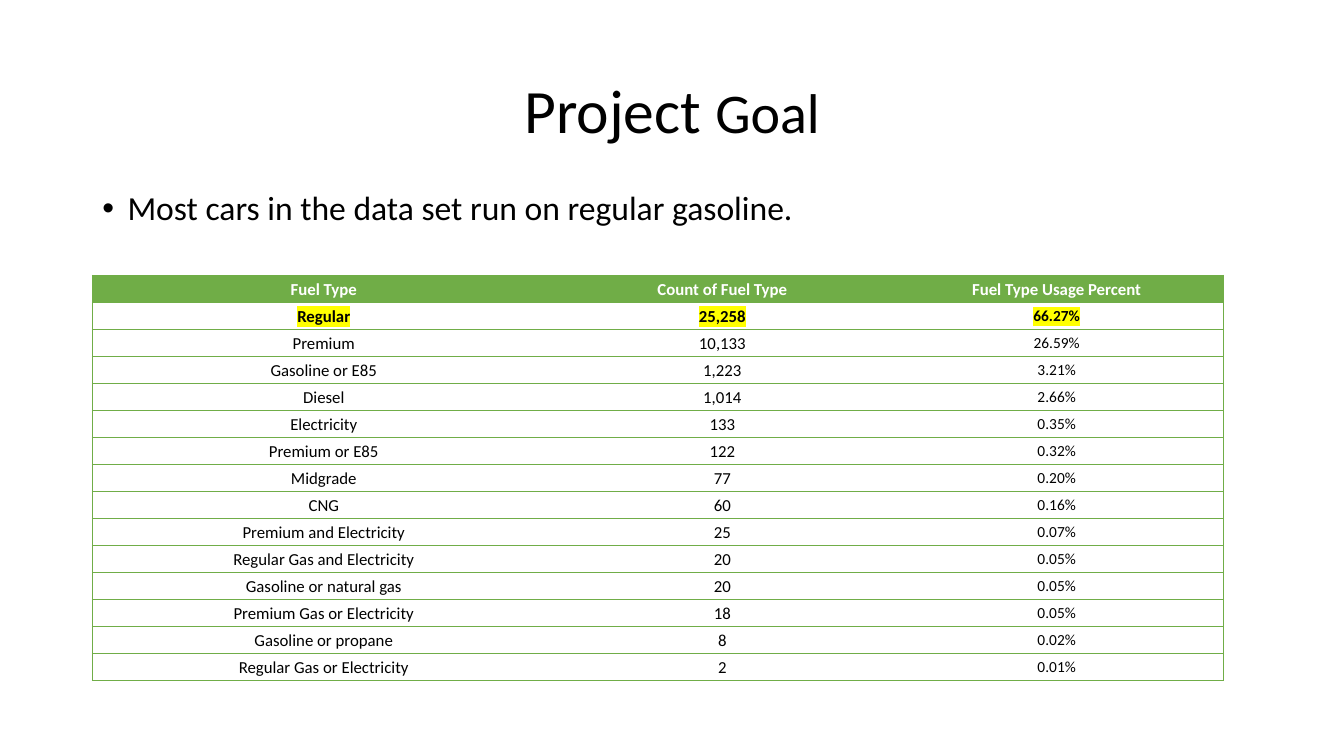
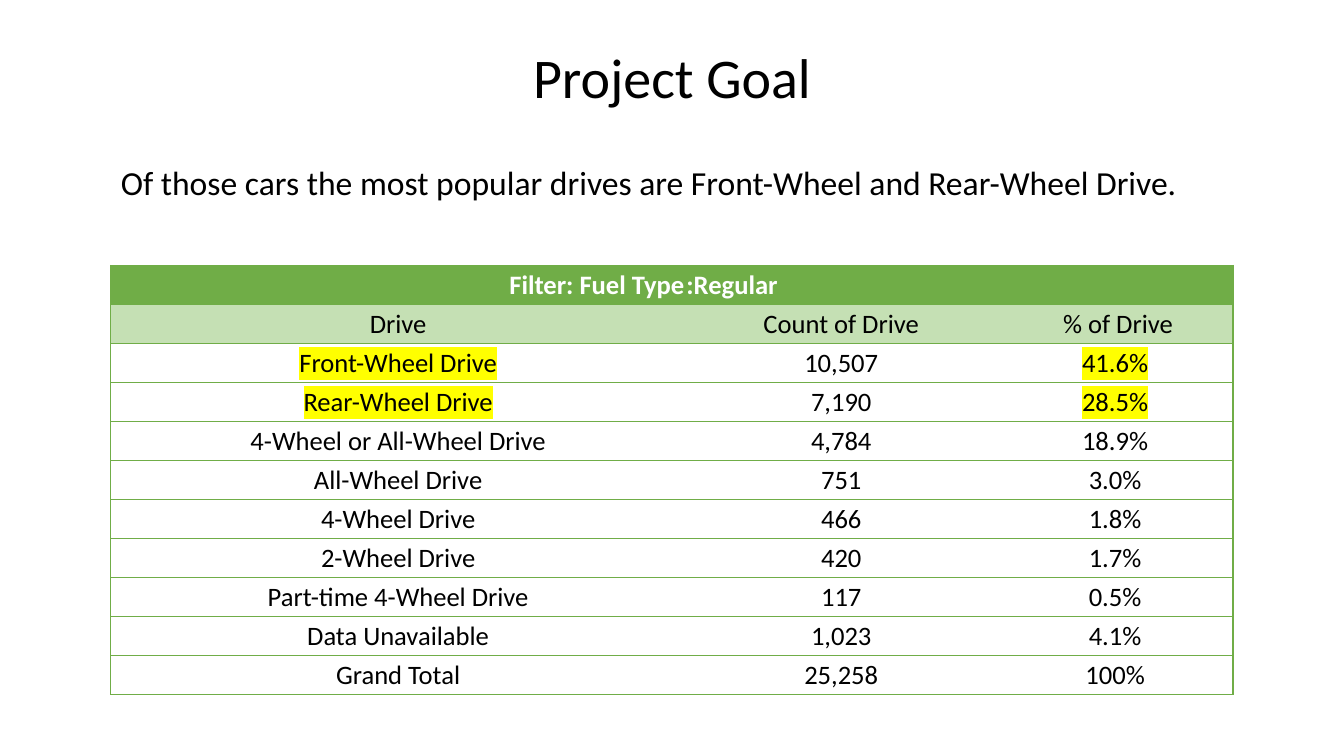
from dataclasses import dataclass
from typing import Any

from lxml import etree
from pptx import Presentation
from pptx.dml.color import RGBColor
from pptx.enum.text import MSO_ANCHOR, PP_ALIGN
from pptx.oxml.ns import qn
from pptx.util import Inches, Pt

LEFT, CENTER, RIGHT = PP_ALIGN.LEFT, PP_ALIGN.CENTER, PP_ALIGN.RIGHT
TOP, MIDDLE = MSO_ANCHOR.TOP, MSO_ANCHOR.MIDDLE
SLIDE_WIDTH, SLIDE_HEIGHT = Inches(13.33), Inches(7.5)
GRID_COLUMNS, GRID_ROWS = 160, 90
PLAIN_TABLE_STYLE = "{2D5ABB26-0587-4C30-8999-92F81FD0307C}"


@dataclass(frozen=True)
class Theme:
    """Colours, font and type sizes shared by the slides."""

    font: str = "Calibri"
    ink: str = "000000"
    paper: str = "FFFFFF"
    green: str = "70AD47"
    pale_green: str = "C5E0B4"
    marker: str = "FFFF00"
    title: int = 40
    title_large: int = 44
    body: int = 24
    drive_cell: int = 19
    fuel_cell: int = 12
    percent_cell: int = 11
    border: float = 1
    line_spacing: float = 0.9


THEME = Theme()


@dataclass(frozen=True)
class Area:
    """A rectangle in grid columns and rows."""

    left: float
    top: float
    width: float
    height: float

    def lengths(self) -> tuple[int, int, int, int]:
        """Return left, top, width and height in slide units."""
        return (across(self.left), down(self.top), across(self.width), down(self.height))


@dataclass(frozen=True)
class Span:
    """A stretch of text in one format."""

    text: str
    size: int
    color: str = THEME.ink
    bold: bool = False
    marked: bool = False


@dataclass(frozen=True)
class TableRow:
    """The texts of a table row and their format."""

    texts: tuple[str, str, str]
    sizes: tuple[int, int, int]
    fill: str = THEME.paper
    color: str = THEME.ink
    bold: bool = False
    marked: tuple[int, ...] = ()
    aligns: tuple[PP_ALIGN, ...] = (CENTER, CENTER, CENTER)


@dataclass(frozen=True)
class TablePage:
    """A slide with a title, a statement and a table."""

    title: tuple[Span, ...]
    title_area: Area
    statement: str
    statement_area: Area
    bulleted: bool
    table_area: Area
    columns: tuple[float, ...]
    rows: tuple[TableRow, ...]


def across(columns: float) -> int:
    """Convert grid columns to a length."""
    return round(SLIDE_WIDTH * columns / GRID_COLUMNS)


def down(rows: float) -> int:
    """Convert grid rows to a length."""
    return round(SLIDE_HEIGHT * rows / GRID_ROWS)


def apply_format(target: Any, values: dict[str, Any]) -> None:
    """Set every named attribute of the target."""
    for name, value in values.items():
        setattr(target, name, value)


def add_color(parent: Any, tag: str, color: str) -> Any:
    """Append an element that holds a colour."""
    holder = etree.SubElement(parent, qn(tag))
    etree.SubElement(holder, qn("a:srgbClr"), val=color)
    return holder


def add_span(para: Any, span: Span) -> None:
    """Add a formatted run to a paragraph."""
    run = para.add_run()
    run.text = span.text
    apply_format(run.font, {"name": THEME.font, "size": Pt(span.size), "bold": span.bold})
    run.font.color.rgb = RGBColor.from_string(span.color)
    if span.marked:
        properties = run.font._element
        highlight = add_color(properties, "a:highlight", THEME.marker)
        properties.find(qn("a:latin")).addprevious(highlight)


def add_text(page: Any, area: Area, spans: tuple[Span, ...], anchor: MSO_ANCHOR,
             para_format: dict[str, Any]) -> Any:
    """Add a text box with one paragraph and return the paragraph."""
    frame = page.shapes.add_textbox(*area.lengths()).text_frame
    apply_format(frame, {"word_wrap": True, "vertical_anchor": anchor})
    para = frame.paragraphs[0]
    apply_format(para, {"line_spacing": THEME.line_spacing, **para_format})
    for span in spans:
        add_span(para, span)
    return para


def add_bullet(para: Any) -> None:
    """Give a paragraph a hanging bullet."""
    properties = para._p.get_or_add_pPr()
    properties.set("marL", str(Inches(0.25)))
    properties.set("indent", str(-Inches(0.25)))
    etree.SubElement(properties, qn("a:buFont"), typeface="Arial")
    etree.SubElement(properties, qn("a:buChar"), char="•")


def add_borders(cell: Any, sides: str) -> None:
    """Draw the borders of a cell on the given sides."""
    properties = cell._tc.get_or_add_tcPr()
    for side in sides:
        line = etree.SubElement(properties, qn(f"a:ln{side}"), w=str(Pt(THEME.border)))
        add_color(line, "a:solidFill", THEME.green)


def fill_cell(cell: Any, row: TableRow, column: int) -> None:
    """Write and format one table cell."""
    apply_format(cell, {
        "vertical_anchor": MIDDLE, "margin_left": Inches(0.01),
        "margin_right": Inches(0.01), "margin_top": Inches(0.01), "margin_bottom": 0,
    })
    add_borders(cell, ("LTB", "TB", "RTB")[column])
    cell.fill.solid()
    cell.fill.fore_color.rgb = RGBColor.from_string(row.fill)
    para = cell.text_frame.paragraphs[0]
    para.alignment = row.aligns[column]
    if row.texts[column]:
        add_span(para, Span(row.texts[column], row.sizes[column], row.color,
                            row.bold, column in row.marked))


def add_data_table(page: Any, content: TablePage) -> None:
    """Add the table of a page."""
    table = page.shapes.add_table(len(content.rows), len(content.columns),
                                  *content.table_area.lengths()).table
    apply_format(table, {"first_row": False, "horz_banding": False})
    table._tbl.tblPr.find(qn("a:tableStyleId")).text = PLAIN_TABLE_STYLE
    for column, width in zip(table.columns, content.columns):
        column.width = across(width)
    for index, row in enumerate(content.rows):
        table.rows[index].height = down(content.table_area.height / len(content.rows))
        for column in range(len(content.columns)):
            fill_cell(table.cell(index, column), row, column)


def add_page(deck: Any, content: TablePage) -> None:
    """Add one slide to the deck."""
    page = deck.slides.add_slide(deck.slide_layouts[6])
    add_text(page, content.title_area, content.title, MIDDLE, {"alignment": CENTER})
    statement = add_text(page, content.statement_area, (Span(content.statement, THEME.body),),
                         TOP, {"alignment": LEFT, "space_before": Pt(10)})
    if content.bulleted:
        add_bullet(statement)
    add_data_table(page, content)


HEADER: dict[str, Any] = {"fill": THEME.green, "color": THEME.paper, "bold": True}
FUEL_SIZES = (THEME.fuel_cell, THEME.fuel_cell, THEME.percent_cell)
DRIVE_SIZES = (THEME.drive_cell,) * 3

FUEL_DATA = (
    ("Premium", "10,133", "26.59%"),
    ("Gasoline or E85", "1,223", "3.21%"),
    ("Diesel", "1,014", "2.66%"),
    ("Electricity", "133", "0.35%"),
    ("Premium or E85", "122", "0.32%"),
    ("Midgrade", "77", "0.20%"),
    ("CNG", "60", "0.16%"),
    ("Premium and Electricity", "25", "0.07%"),
    ("Regular Gas and Electricity", "20", "0.05%"),
    ("Gasoline or natural gas", "20", "0.05%"),
    ("Premium Gas or Electricity", "18", "0.05%"),
    ("Gasoline or propane", "8", "0.02%"),
    ("Regular Gas or Electricity", "2", "0.01%"),
)
POPULAR_DRIVES = (
    ("Front-Wheel Drive", "10,507", "41.6%"),
    ("Rear-Wheel Drive", "7,190", "28.5%"),
)
OTHER_DRIVES = (
    ("4-Wheel or All-Wheel Drive", "4,784", "18.9%"),
    ("All-Wheel Drive", "751", "3.0%"),
    ("4-Wheel Drive", "466", "1.8%"),
    ("2-Wheel Drive", "420", "1.7%"),
    ("Part-time 4-Wheel Drive", "117", "0.5%"),
    ("Data Unavailable", "1,023", "4.1%"),
    ("Grand Total", "25,258", "100%"),
)

PAGES = (
    TablePage(
        title=(Span("Project ", THEME.title_large), Span("Goal", THEME.title)),
        title_area=Area(11, 4.8, 138, 17.4),
        statement="Most cars in the data set run on regular gasoline.",
        statement_area=Area(11, 22.2, 134.7, 58.9),
        bulleted=True,
        table_area=Area(11, 32.8, 134.7, 48.24),
        columns=(55.1, 39.8, 39.8),
        rows=(
            TableRow(("Fuel Type", "Count of Fuel Type", "Fuel Type Usage Percent"),
                     (THEME.fuel_cell,) * 3, **HEADER),
            TableRow(("Regular", "25,258", "66.27%"), FUEL_SIZES, bold=True, marked=(0, 1, 2)),
            *(TableRow(texts, FUEL_SIZES) for texts in FUEL_DATA),
        ),
    ),
    TablePage(
        title=(Span("Project Goal", THEME.title),),
        title_area=Area(13.2, 2.3, 133.6, 14.6),
        statement="Of those cars the most popular drives are Front-Wheel and Rear-Wheel Drive.",
        statement_area=Area(13.2, 19.2, 135.4, 63.6),
        bulleted=False,
        table_area=Area(13.2, 31.6, 133.6, 51.1),
        columns=(68.4, 37.1, 28.1),
        rows=(
            TableRow(("Filter: Fuel Type", ":Regular", ""), DRIVE_SIZES,
                     aligns=(RIGHT, LEFT, LEFT), **HEADER),
            TableRow(("Drive", "Count of Drive", " % of Drive"), DRIVE_SIZES,
                     fill=THEME.pale_green),
            *(TableRow(texts, DRIVE_SIZES, marked=(0, 2)) for texts in POPULAR_DRIVES),
            *(TableRow(texts, DRIVE_SIZES) for texts in OTHER_DRIVES),
        ),
    ),
)


def main() -> None:
    """Build and save the deck."""
    deck = Presentation()
    apply_format(deck, {"slide_width": SLIDE_WIDTH, "slide_height": SLIDE_HEIGHT})
    for content in PAGES:
        add_page(deck, content)
    deck.save("out.pptx")


if __name__ == "__main__":
    main()
